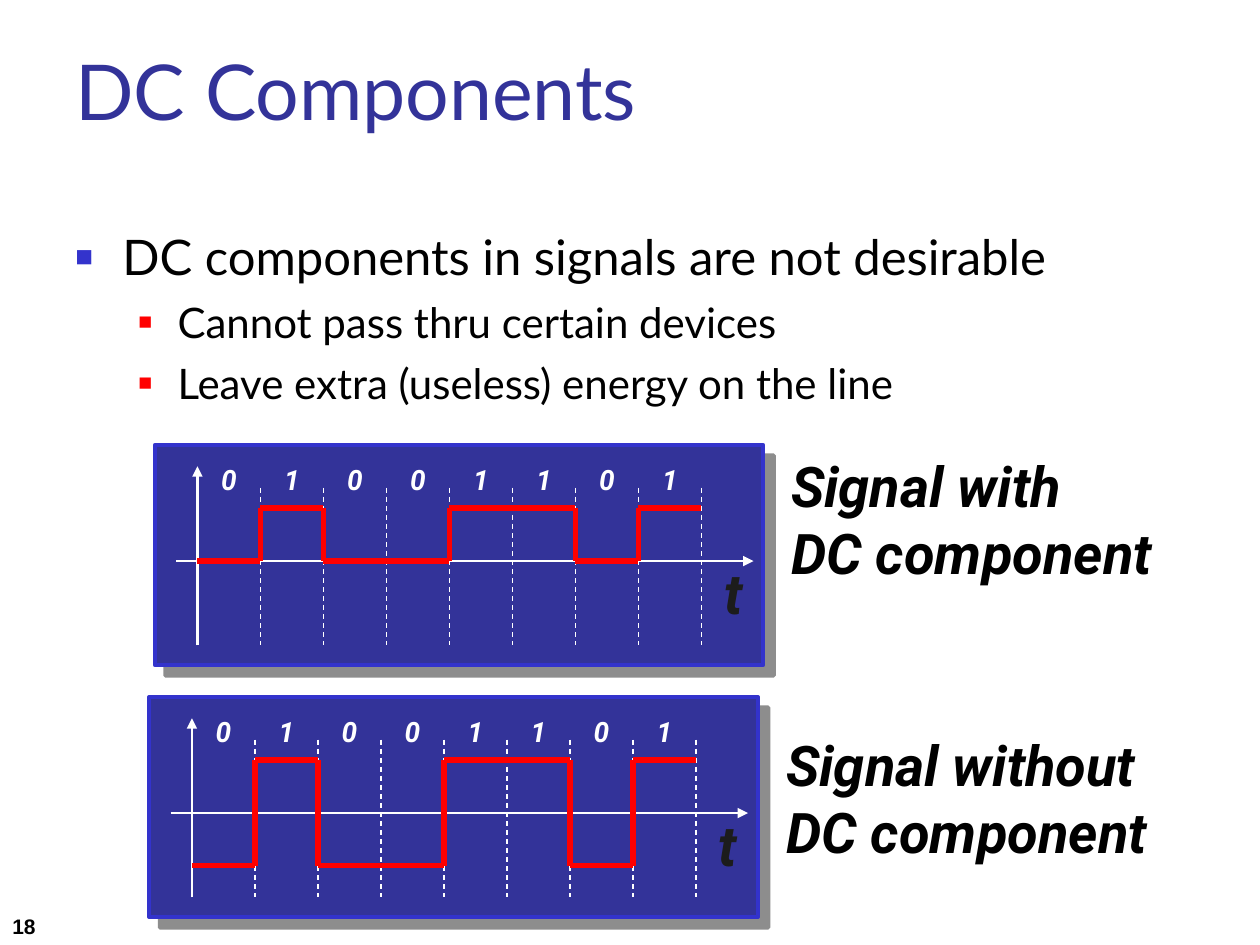
from dataclasses import dataclass

from lxml.etree import SubElement
from pptx import Presentation
from pptx.dml.color import RGBColor
from pptx.enum.dml import MSO_LINE_DASH_STYLE as Dash
from pptx.enum.shapes import MSO_CONNECTOR as Connector, MSO_SHAPE as Shape
from pptx.enum.text import MSO_ANCHOR as Anchor, MSO_AUTO_SIZE as AutoSize, PP_ALIGN as Align
from pptx.oxml.ns import qn
from pptx.util import Cm, Pt

# Content
TITLE = "DC Components"
PAGE_NUMBER = "18"
BULLETS = [
    (0, "DC components in signals are not desirable"),
    (1, "Cannot pass thru certain devices"),
    (1, "Leave extra (useless) energy on the line"),
]
BITS = "01001101"
# Panel left and top, depth of the low level, caption and its box (cm)
SIGNALS = [
    (3.12, 8.97, 2.34, "Signal with\vDC component", (15.7, 8.97, 8.28, 2.97)),
    (3.01, 14.05, 3.4, "Signal without\vDC component", (15.6, 14.6, 8.56, 2.97)),
]


@dataclass(frozen=True)
class Theme:
    body_font: str = "Lato"
    label_font: str = "Roboto"
    number_font: str = "Arial"
    navy: str = "333399"
    blue: str = "3333CC"
    red: str = "FF0000"
    black: str = "000000"
    dark: str = "1C1C1C"
    white: str = "FFFFFF"
    title_size: int = 44
    label_size: int = 32
    bit_size: int = 16
    number_size: int = 12


THEME = Theme()
# Per level: text size, left margin and hanging indent (cm), space before, bullet colour and size
LEVELS = [
    (28, 0.95, 0.95, 7, THEME.blue, 60),
    (24, 2.06, 0.79, 6, THEME.red, 55),
]

# Panel geometry, relative to its top left corner (cm)
PANEL_WIDTH, PANEL_HEIGHT = 12.27, 4.44
BIT_WIDTH = 1.27
ORIGIN_X, AXIS_Y, HIGH_Y = 0.86, 2.34, 1.27
AXIS_TOP, GRID_TOP, GRID_BOTTOM = 0.43, 0.86, 4.04
AXIS_LEFT, AXIS_RIGHT = 0.43, 12.07


def style(paragraph, font, size, color, bold=False, italic=False):
    paragraph.font.name = font
    paragraph.font.size = Pt(size)
    paragraph.font.color.rgb = RGBColor.from_string(color)
    paragraph.font.bold = bold
    paragraph.font.italic = italic


def add_frame(shapes, area, wrap=True, anchor=Anchor.TOP):
    frame = shapes.add_textbox(*map(Cm, area)).text_frame
    frame.word_wrap = wrap
    frame.auto_size = AutoSize.NONE if wrap else AutoSize.SHAPE_TO_FIT_TEXT
    frame.vertical_anchor = anchor
    return frame


def add_label(shapes, area, text, size, color, wrap=False, align=Align.LEFT):
    paragraph = add_frame(shapes, area, wrap).paragraphs[0]
    paragraph.text = text
    paragraph.alignment = align
    style(paragraph, THEME.label_font, size, color, bold=True, italic=True)


def add_bullet(paragraph, level, text):
    size, margin, hanging, before, color, percent = LEVELS[level]
    paragraph.text = text
    paragraph.level = level
    properties = paragraph._p.get_or_add_pPr()
    properties.set("marL", str(Cm(margin)))
    properties.set("indent", str(-Cm(hanging)))
    SubElement(SubElement(properties, qn("a:buClr")), qn("a:srgbClr"), val=color)
    SubElement(properties, qn("a:buSzPct"), val=str(percent * 1000))
    SubElement(properties, qn("a:buFont"), typeface=THEME.number_font)
    SubElement(properties, qn("a:buChar"), char="■")
    if level:
        paragraph.space_before = Pt(before)
    style(paragraph, THEME.body_font, size, THEME.black)


def add_line(shapes, start, end, color, width, dashed=False, arrow=False):
    connector = shapes.add_connector(Connector.STRAIGHT, *map(Cm, (*start, *end)))
    connector.line.color.rgb = RGBColor.from_string(color)
    connector.line.width = Pt(width)
    if dashed:
        connector.line.dash_style = Dash.DASH
    if arrow:
        SubElement(connector.line._get_or_add_ln(), qn("a:tailEnd"), type="triangle")
    SubElement(connector._element.spPr, qn("a:effectLst"))


def add_panel(shapes, left, top):
    panel = shapes.add_shape(Shape.RECTANGLE, *map(Cm, (left, top, PANEL_WIDTH, PANEL_HEIGHT)))
    panel.fill.solid()
    panel.fill.fore_color.rgb = RGBColor.from_string(THEME.navy)
    panel.line.color.rgb = RGBColor.from_string(THEME.blue)
    panel.line.width = Pt(2.25)
    panel.shadow.inherit = False
    effects = panel._element.spPr.find(qn("a:effectLst"))
    shadow = SubElement(effects, qn("a:outerShdw"), dist=str(Pt(8.5)),
                        dir=str(45 * 60000), algn="ctr", rotWithShape="0")
    color = SubElement(shadow, qn("a:srgbClr"), val=THEME.dark)
    SubElement(color, qn("a:alpha"), val="50000")


def add_signal(shapes, left, top, low_y):
    def at(x, y):
        return left + x, top + y

    # Panel and axes
    add_panel(shapes, left, top)
    add_line(shapes, at(ORIGIN_X, GRID_BOTTOM), at(ORIGIN_X, AXIS_TOP),
             THEME.white, 1.5, arrow=True)
    add_line(shapes, at(AXIS_LEFT, AXIS_Y), at(AXIS_RIGHT, AXIS_Y),
             THEME.white, 1.5, arrow=True)
    add_label(shapes, (*at(11.23, 2.16), 0.97, 1.63), "t", THEME.label_size, THEME.dark)

    # Bit labels and grid
    edges = [ORIGIN_X + index * BIT_WIDTH for index in range(len(BITS) + 1)]
    for bit, start, end in zip(BITS, edges, edges[1:]):
        add_line(shapes, at(end, GRID_TOP), at(end, GRID_BOTTOM), THEME.white, 0.75, dashed=True)
        add_label(shapes, (*at(start, 0.23), BIT_WIDTH, 0.94), bit,
                  THEME.bit_size, THEME.white, wrap=True, align=Align.CENTER)

    # Waveform: one level per bit, one step per change
    levels = [HIGH_Y if bit == "1" else low_y for bit in BITS]
    for level, start, end in zip(levels, edges, edges[1:]):
        add_line(shapes, at(start, level), at(end, level), THEME.red, 3)
    for before, after, edge in zip(levels, levels[1:], edges[1:]):
        if before != after:
            add_line(shapes, at(edge, HIGH_Y), at(edge, low_y), THEME.red, 3)


def main():
    deck = Presentation()
    deck.slide_width, deck.slide_height = Cm(25.4), Cm(19.05)
    page = deck.slides.add_slide(deck.slide_layouts[6])

    # Page number
    number = add_frame(page.shapes, (0, 17.78, 5.28, 1.27), anchor=Anchor.BOTTOM).paragraphs[0]
    number.text = PAGE_NUMBER
    style(number, THEME.number_font, THEME.number_size, THEME.black, bold=True)

    # Title
    title = add_frame(page.shapes, (1.27, 0.76, 22.86, 3.18)).paragraphs[0]
    title.text = TITLE
    style(title, THEME.body_font, THEME.title_size, THEME.navy)

    # Bullets
    body = add_frame(page.shapes, (1.27, 4.45, 22.86, 12.57))
    for index, (level, text) in enumerate(BULLETS):
        add_bullet(body.add_paragraph() if index else body.paragraphs[0], level, text)

    # Signal diagrams and captions
    for left, top, low_y, caption, area in SIGNALS:
        add_signal(page.shapes.add_group_shape().shapes, left, top, low_y)
        add_label(page.shapes, area, caption, THEME.label_size, THEME.black)

    deck.save("out.pptx")


if __name__ == "__main__":
    main()
